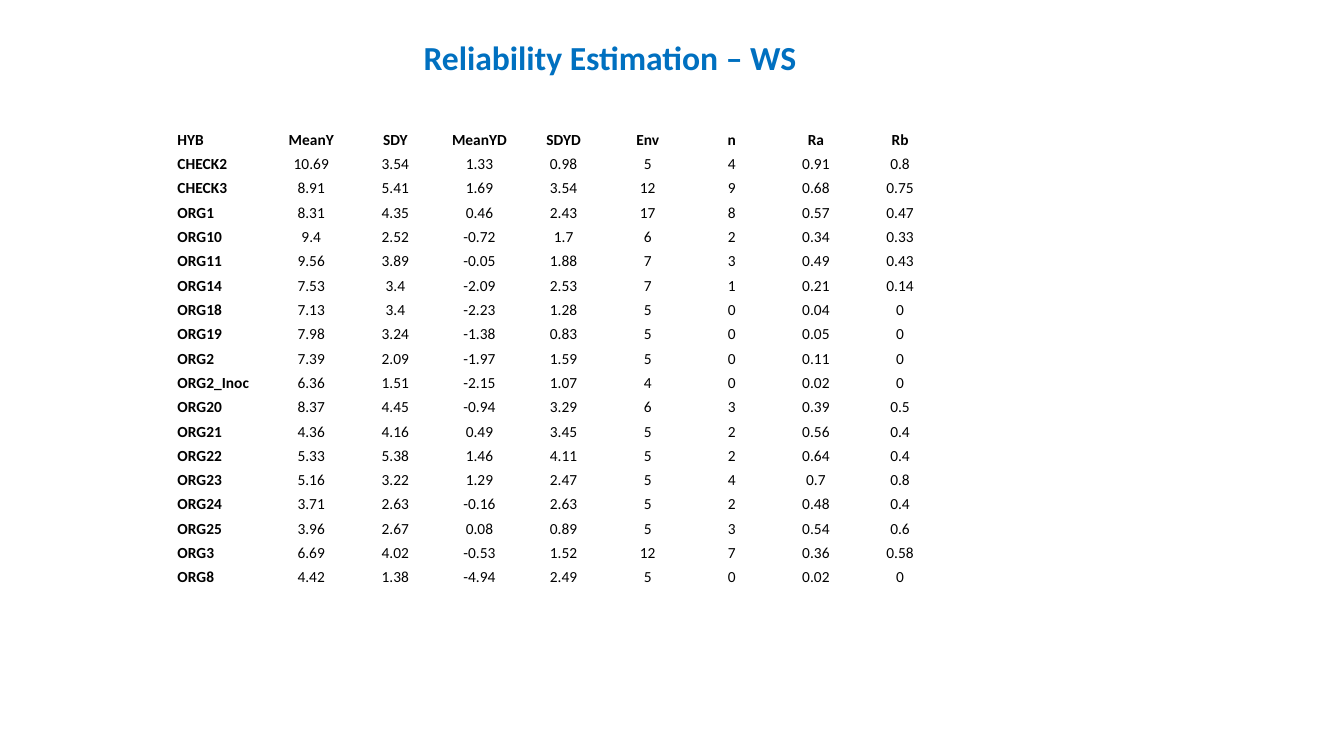
from pptx import Presentation
from pptx import util as u
from pptx.dml.color import RGBColor
from pptx.enum import text

BLUE = RGBColor(0x00, 0x70, 0xC0)
BLACK = RGBColor(0x00, 0x00, 0x00)
PLAIN_TABLE = "{2D5ABB26-0587-4C30-8999-92F81FD0307C}"

RELIABILITY = """
HYB MeanY SDY MeanYD SDYD Env n Ra Rb
CHECK2 10.69 3.54 1.33 0.98 5 4 0.91 0.8
CHECK3 8.91 5.41 1.69 3.54 12 9 0.68 0.75
ORG1 8.31 4.35 0.46 2.43 17 8 0.57 0.47
ORG10 9.4 2.52 -0.72 1.7 6 2 0.34 0.33
ORG11 9.56 3.89 -0.05 1.88 7 3 0.49 0.43
ORG14 7.53 3.4 -2.09 2.53 7 1 0.21 0.14
ORG18 7.13 3.4 -2.23 1.28 5 0 0.04 0
ORG19 7.98 3.24 -1.38 0.83 5 0 0.05 0
ORG2 7.39 2.09 -1.97 1.59 5 0 0.11 0
ORG2_Inoc 6.36 1.51 -2.15 1.07 4 0 0.02 0
ORG20 8.37 4.45 -0.94 3.29 6 3 0.39 0.5
ORG21 4.36 4.16 0.49 3.45 5 2 0.56 0.4
ORG22 5.33 5.38 1.46 4.11 5 2 0.64 0.4
ORG23 5.16 3.22 1.29 2.47 5 4 0.7 0.8
ORG24 3.71 2.63 -0.16 2.63 5 2 0.48 0.4
ORG25 3.96 2.67 0.08 0.89 5 3 0.54 0.6
ORG3 6.69 4.02 -0.53 1.52 12 7 0.36 0.58
ORG8 4.42 1.38 -4.94 2.49 5 0 0.02 0
"""


class SlideBuilder:
    """Places styled elements; lengths are percentages of the slide's size."""

    font_name = "Calibri"

    def __init__(self, deck):
        self.deck = deck
        self.page = deck.slides.add_slide(deck.slide_layouts[5])

    def across(self, percent):
        return u.Emu(round(self.deck.slide_width * percent / 100))

    def down(self, percent):
        return u.Emu(round(self.deck.slide_height * percent / 100))

    def style(self, para, size, color, bold, align):
        para.alignment = align
        para.font.name = self.font_name
        para.font.size = u.Pt(size)
        para.font.color.rgb = color
        para.font.bold = bold

    def title(self, words, left, top, width, height):
        box = self.page.shapes.title
        box.left, box.top = self.across(left), self.down(top)
        box.width, box.height = self.across(width), self.down(height)
        frame = box.text_frame
        frame.text = words
        frame.word_wrap = True
        frame.auto_size = text.MSO_AUTO_SIZE.SHAPE_TO_FIT_TEXT
        frame.vertical_anchor = text.MSO_ANCHOR.TOP
        self.style(frame.paragraphs[0], 24, BLUE, True, text.PP_ALIGN.LEFT)

    def table(self, rows, left, top, name_width, value_width, height):
        widths = [name_width] + [value_width] * (len(rows[0]) - 1)
        frame = self.page.shapes.add_table(
            len(rows), len(widths), self.across(left), self.down(top),
            self.across(sum(widths)), self.down(height))
        grid = frame.table
        grid.first_row = grid.horz_banding = False
        grid._tbl.tblPr.find("{*}tableStyleId").text = PLAIN_TABLE
        for column, width in zip(grid.columns, widths):
            column.width = self.across(width)
        for r, row in enumerate(rows):
            for c, value in enumerate(row):
                self.cell(grid.cell(r, c), value, r == 0 or c == 0, c > 0)

    def cell(self, cell, value, bold, centred):
        cell.text = value
        cell.fill.background()
        cell.vertical_anchor = text.MSO_ANCHOR.BOTTOM
        cell.margin_left = cell.margin_right = cell.margin_top = u.Inches(0.01)
        cell.margin_bottom = 0
        align = text.PP_ALIGN.CENTER if centred else text.PP_ALIGN.LEFT
        self.style(cell.text_frame.paragraphs[0], 11, BLACK, bold, align)


def main():
    deck = Presentation()
    deck.slide_width, deck.slide_height = u.Inches(13.33), u.Inches(7.5)
    slide = SlideBuilder(deck)

    # Heading
    slide.title("Reliability Estimation – WS", 30.76, 4.27, 38.18, 6.67)

    # Reliability of each hybrid
    rows = [line.split() for line in RELIABILITY.strip().splitlines()]
    slide.table(rows, left=13.13, top=16.53, name_width=6.9,
                value_width=6.26, height=61.2)

    deck.save("out.pptx")


if __name__ == "__main__":
    main()
